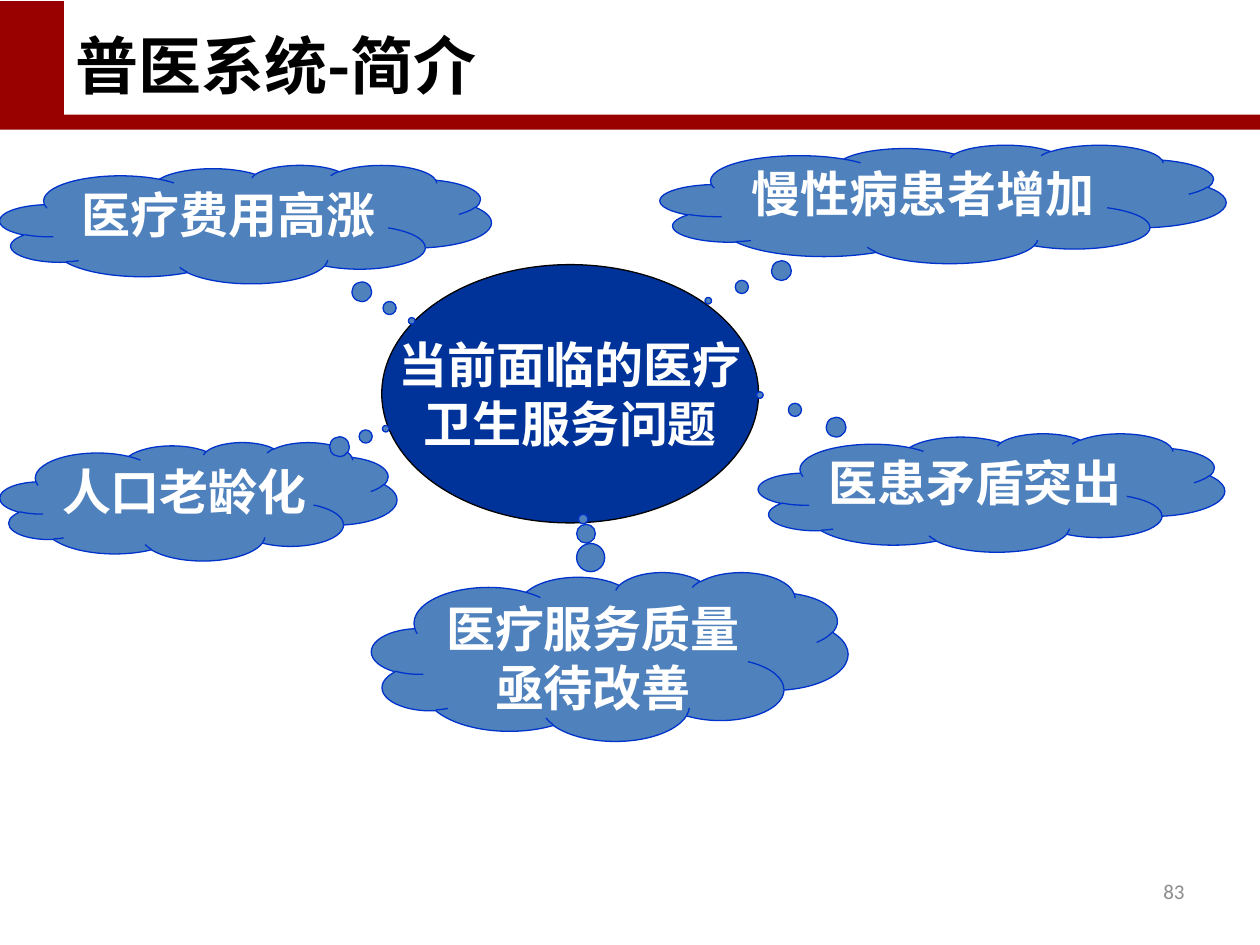
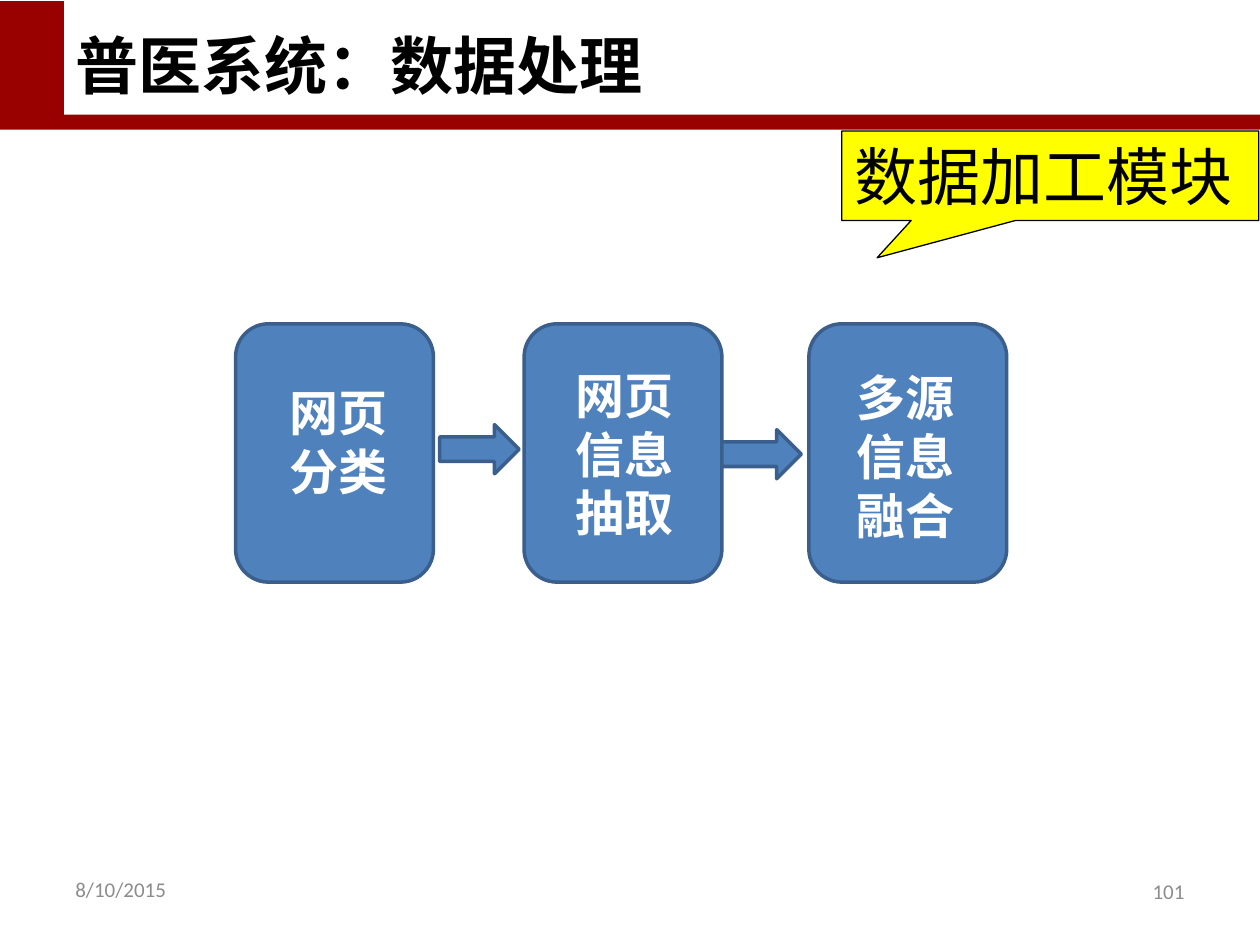
from lxml.etree import SubElement
from pptx import Presentation
from pptx.dml.color import RGBColor
from pptx.enum.shapes import MSO_SHAPE
from pptx.enum.text import MSO_ANCHOR, MSO_AUTO_SIZE, PP_ALIGN
from pptx.oxml.ns import qn
from pptx.util import Inches, Pt

COLORS = {
    "band": "990000", "white": "FFFFFF", "black": "000000",
    "center": "003399", "cloud_line": "0033CC", "blue": "4F81BD",
    "blue_line": "3A5F8C", "yellow": "FFFF00", "footer": "8C8C8C",
}
CJK_FONT = "Noto Sans CJK SC"
SERIF_FONT = "Times New Roman"
DEFAULT_INSETS = (0.1, 0.05)
TIGHT_INSETS = (0.02, 0.01)


def color(name):
    return RGBColor.from_string(COLORS[name])


def write_text(shape, text, size=28, font=CJK_FONT, ink="white", bold=True,
               align=PP_ALIGN.LEFT, anchor=MSO_ANCHOR.TOP,
               insets=DEFAULT_INSETS, wrap=True):
    """Fill a shape with text; each line of text becomes a paragraph."""
    frame = shape.text_frame
    frame.text = text
    frame.auto_size = MSO_AUTO_SIZE.NONE
    frame.word_wrap = wrap
    frame.vertical_anchor = anchor
    frame.margin_left = frame.margin_right = Inches(insets[0])
    frame.margin_top = frame.margin_bottom = Inches(insets[1])
    for paragraph in frame.paragraphs:
        paragraph.alignment = align
        for run in paragraph.runs:
            run.font.size = Pt(size)
            run.font.bold = bold
            run.font.color.rgb = color(ink)
            run.font.name = font
            east_asian = SubElement(run.font._element, qn("a:ea"))
            east_asian.set("typeface", CJK_FONT)


def add_box(shapes, kind, place, fill, line=None, width=0.75, adjustments=()):
    shape = shapes.add_shape(kind, *map(Inches, place))
    shape.shadow.inherit = False
    shape.fill.solid()
    shape.fill.fore_color.rgb = color(fill)
    if line:
        shape.line.color.rgb = color(line)
        shape.line.width = Pt(width)
    else:
        shape.line.fill.background()
    for index, value in enumerate(adjustments):
        shape.adjustments[index] = value
    return shape


def add_label(shapes, place, text, **text_format):
    label = shapes.add_textbox(*map(Inches, place))
    write_text(label, text, **text_format)


def add_footer(slide, left, top, text, align):
    add_label(slide.shapes, (left, top, 2.33, 0.4), text, size=12,
              font="Calibri", ink="footer", bold=False, align=align,
              anchor=MSO_ANCHOR.MIDDLE)


def add_cloud(slide, place, text, tail):
    cloud = add_box(slide.shapes, MSO_SHAPE.CLOUD_CALLOUT, place, "blue",
                    "cloud_line", adjustments=tail)
    write_text(cloud, text, align=PP_ALIGN.CENTER, insets=TIGHT_INSETS)


def add_master_band(presentation, slide):
    """Draw the red corner band and move it behind the master's placeholders."""
    tree = presentation.slide_master.shapes._spTree
    parts = [((0, 0.01, 10, 1.02), "band"), ((0.51, 0, 9.49, 0.91), "white")]
    for index, (place, fill) in enumerate(parts):
        part = add_box(slide.shapes, MSO_SHAPE.RECTANGLE, place, fill)
        part._element.nvSpPr.cNvPr.set("id", str(100 + index))
        tree.insert(2 + index, part._element)


def add_titled_slide(presentation, title_text, number):
    slide = presentation.slides.add_slide(presentation.slide_layouts[5])
    title = slide.shapes.title
    title.left, title.top = Inches(0.5), Inches(0.14)
    title.width, title.height = Inches(9), Inches(0.72)
    write_text(title, title_text, size=36, ink="black",
               anchor=MSO_ANCHOR.BOTTOM)
    add_footer(slide, 7.17, 6.87, number, PP_ALIGN.RIGHT)
    return slide


def build_problem_slide(presentation):
    slide = add_titled_slide(presentation, "普医系统-简介", "83")
    add_master_band(presentation, slide)

    # Central topic
    topic = add_box(slide.shapes, MSO_SHAPE.OVAL, (3.03, 2.1, 2.99, 2.05),
                    "center", "black")
    write_text(topic, "当前面临的医疗\n卫生服务问题", font="Arial",
               align=PP_ALIGN.CENTER, anchor=MSO_ANCHOR.MIDDLE,
               insets=TIGHT_INSETS, wrap=False)

    # Problems around it, with tails pointing to the topic
    problems = [
        ((0, 1.31, 3.9, 0.94), "医疗费用高涨", (0.338, 0.816)),
        ((5.24, 1.15, 4.49, 0.94), "慢性病患者增加", (-0.415, 0.816)),
        ((0, 3.51, 3.15, 0.94), "人口老龄化", (0.472, -0.614)),
        ((6.02, 3.44, 3.7, 0.94), "医患矛盾突出", (-0.497, -0.824)),
        ((2.95, 4.54, 3.78, 1.34), "医疗服务质量亟待改善", (-0.056, -0.814)),
    ]
    for place, text, tail in problems:
        add_cloud(slide, place, text, tail)


def build_processing_slide(presentation):
    slide = add_titled_slide(presentation, "普医系统：数据处理", "101")
    add_footer(slide, 0.5, 6.86, "8/10/2015", PP_ALIGN.LEFT)

    # Processing steps joined by block arrows
    flow = slide.shapes.add_group_shape().shapes
    steps = [
        (1.87, (2.2, 2.99, 1.1, 1.04), "网页分类"),
        (4.16, (4.47, 2.85, 1.1, 1.52), "网页信息抽取"),
        (6.42, (6.7, 2.87, 1.18, 1.52), "多源信息融合"),
    ]
    for left, label_place, text in steps:
        add_box(flow, MSO_SHAPE.FLOWCHART_ALTERNATE_PROCESS,
                (left, 2.57, 1.57, 2.05), "blue", "blue_line", 2)
        add_label(flow, label_place, text, font=SERIF_FONT)
    for left, top in [(3.49, 3.37), (5.73, 3.41)]:
        add_box(flow, MSO_SHAPE.RIGHT_ARROW, (left, top, 0.63, 0.39),
                "blue", "blue_line", 2)

    # Module callout
    callout = add_box(slide.shapes, MSO_SHAPE.RECTANGULAR_CALLOUT,
                      (6.68, 1.04, 3.31, 0.71), "yellow", "black",
                      adjustments=(-0.415, 0.917))
    write_text(callout, "数据加工模块", size=36, font=SERIF_FONT,
               ink="black", bold=False)


def main():
    presentation = Presentation()
    presentation.slide_width = Inches(10)
    presentation.slide_height = Inches(7.5)
    build_problem_slide(presentation)
    build_processing_slide(presentation)
    presentation.save("out.pptx")


if __name__ == "__main__":
    main()
